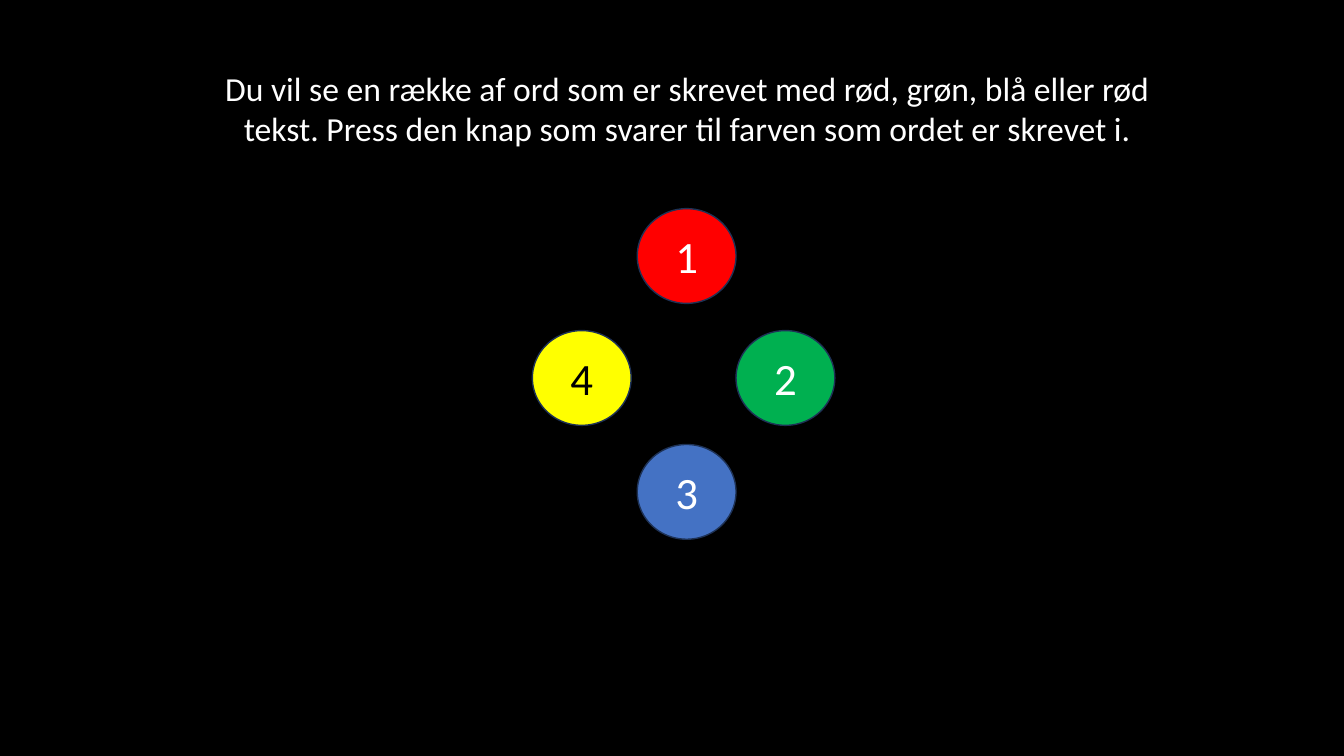
import pptx
import pptx.util
import pptx.dml.color
import pptx.enum.shapes
import pptx.enum.text

Inches = pptx.util.Inches
ALIGN = pptx.enum.text.PP_ALIGN
ANCHOR = pptx.enum.text.MSO_ANCHOR
FIT = pptx.enum.text.MSO_AUTO_SIZE


class Theme:
    """Hold the colours, font and type sizes of the slide."""
    font = "Calibri"
    back, text, dark, edge = "000000", "FFFFFF", "000000", "1E3256"
    red, green, blue, yellow = "FF0000", "00B050", "4472C4", "FFFF00"
    body, digit, line = 24, 32, 1


def paint(fill, color):
    """Give a fill one solid colour."""
    fill.solid()
    fill.fore_color.rgb = pptx.dml.color.RGBColor.from_string(color)


def write(shape, text, size, color, frame):
    """Put centred text in a shape, with the given frame format."""
    for name, value in frame.items():
        setattr(shape.text_frame, name, value)
    para = shape.text_frame.paragraphs[0]
    para.alignment = ALIGN.CENTER
    run = para.add_run()
    run.text = text
    style = {"name": Theme.font, "size": pptx.util.Pt(size)}
    for name, value in style.items():
        setattr(run.font, name, value)
    paint(run.font.fill, color)


def add_guide(slide, left, top, width, height):
    """Write the task guide in the given box."""
    box = slide.shapes.add_textbox(
        Inches(left), Inches(top), Inches(width), Inches(height))
    text = ("Du vil se en række af ord som er skrevet med rød, grøn, blå "
            "eller rød tekst. Press den knap som svarer til farven som "
            "ordet er skrevet i.")
    frame = {"word_wrap": True, "auto_size": FIT.SHAPE_TO_FIT_TEXT}
    write(box, text, Theme.body, Theme.text, frame)


def add_pad(slide, left, top, width, height):
    """Place the four numbered colour buttons as a cross in the box."""
    wide, high = 0.98, 0.94
    right, low = width - wide, height - high
    mid_x, mid_y = 1.04, 1.21
    keys = [
        ("1", mid_x, 0, Theme.red, Theme.text),
        ("2", right, mid_y, Theme.green, Theme.text),
        ("3", mid_x, low, Theme.blue, Theme.text),
        ("4", 0, mid_y, Theme.yellow, Theme.dark),
    ]
    for digit, x, y, color, ink in keys:
        key = slide.shapes.add_shape(
            pptx.enum.shapes.MSO_SHAPE.OVAL, Inches(left + x),
            Inches(top + y), Inches(wide), Inches(high))
        key.shadow.inherit = False
        paint(key.fill, color)
        paint(key.line.fill, Theme.edge)
        key.line.width = pptx.util.Pt(Theme.line)
        frame = {"vertical_anchor": ANCHOR.MIDDLE, "word_wrap": True}
        write(key, digit, Theme.digit, ink, frame)


def main():
    """Build the slide and save it."""
    deck = pptx.Presentation()
    deck.slide_width, deck.slide_height = Inches(13.33), Inches(7.5)
    slide = deck.slides.add_slide(deck.slide_layouts[6])
    paint(slide.background.fill, Theme.back)
    add_pad(slide, 5.28, 2.07, 3, 3.28)
    add_guide(slide, 1.82, 0.62, 9.99, 0.91)
    deck.save("out.pptx")


if __name__ == "__main__":
    main()
